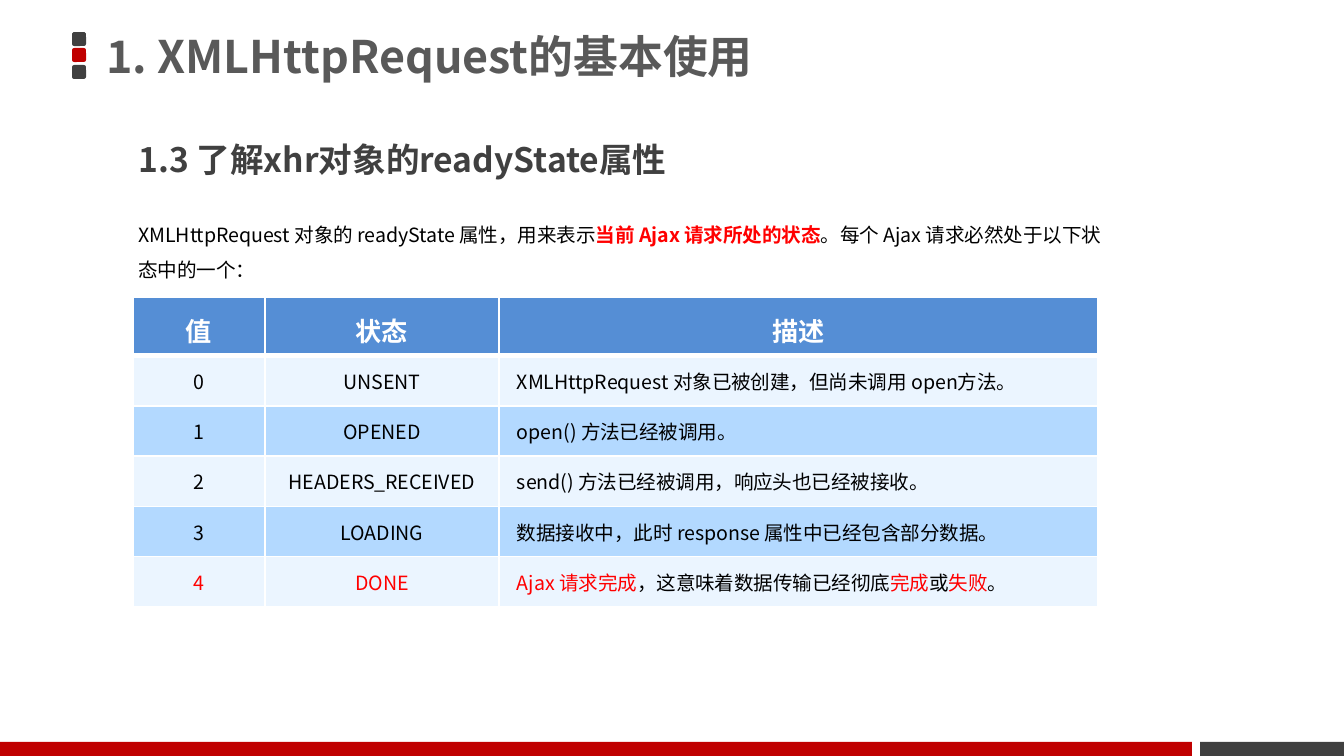
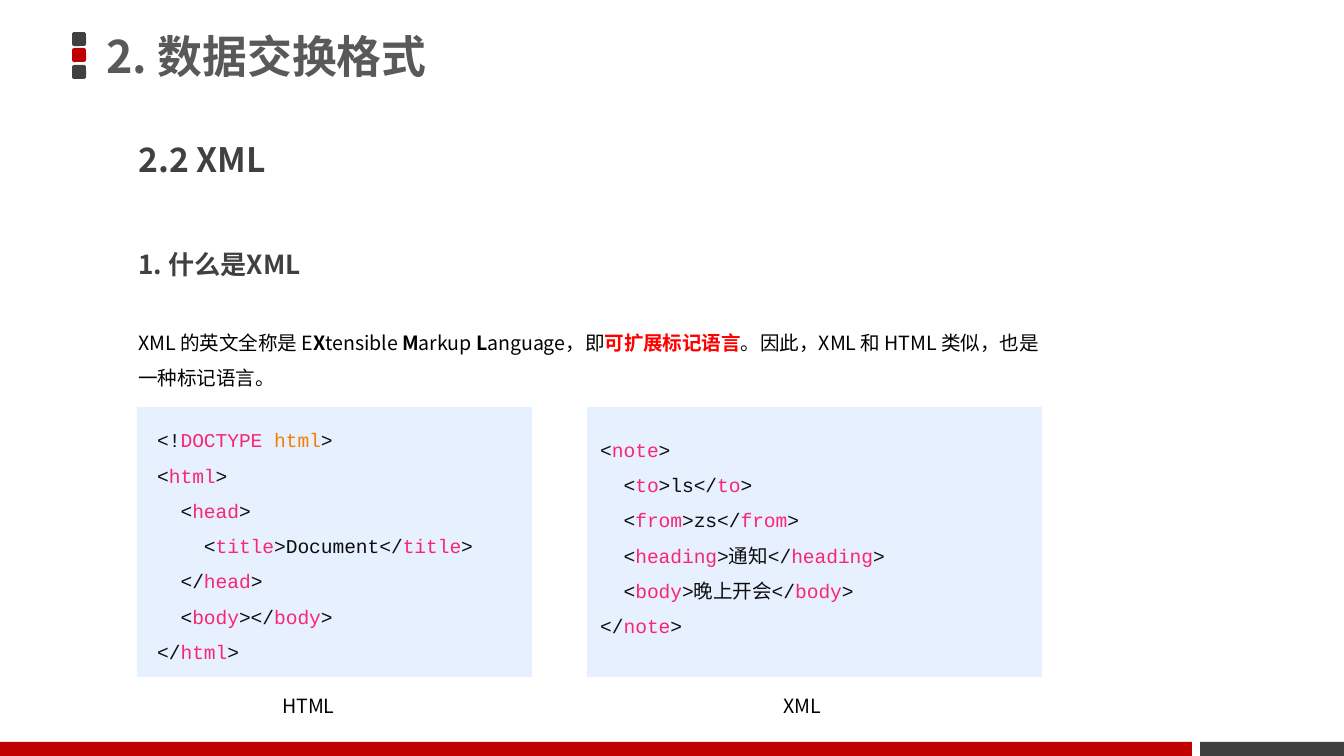
from dataclasses import dataclass, replace

from lxml import etree
from pptx import Presentation
from pptx.dml.color import RGBColor
from pptx.enum.shapes import MSO_SHAPE
from pptx.enum.text import MSO_ANCHOR, MSO_AUTO_SIZE, PP_ALIGN
from pptx.oxml.ns import qn
from pptx.util import Emu, Pt

RECT, ROUNDED = MSO_SHAPE.RECTANGLE, MSO_SHAPE.ROUNDED_RECTANGLE
TOP, MIDDLE = MSO_ANCHOR.TOP, MSO_ANCHOR.MIDDLE
LEFT, CENTER = PP_ALIGN.LEFT, PP_ALIGN.CENTER
FIXED, GROW = MSO_AUTO_SIZE.NONE, MSO_AUTO_SIZE.SHAPE_TO_FIT_TEXT
EMU_PER_PX = 914400 / 134.4
NBSP = "\u00a0"


@dataclass(frozen=True)
class Style:
    size: float
    color: str
    bold: bool = False
    font: str = "Noto Sans CJK SC"


class Theme:
    sans = "Noto Sans CJK SC"
    red, dark, panel, white = "C00000", "404040", "E6F0FF", "FFFFFF"
    header_fill, row_fills = "558ED5", ("EBF5FF", "B3D9FF")
    title = Style(24, "595959", True)
    section = Style(18, dark, True)
    topic = Style(14, dark, True)
    header = Style(14, white, True)
    body = Style(10.5, "000000")
    strong = replace(body, bold=True)
    alert = replace(body, color="FF0000")
    key = replace(alert, bold=True)
    code = Style(10.5, "0D0D0D", font="Courier New")
    tag = replace(code, color="F92672")
    attribute = replace(code, color="F77C00")


def px(n):
    return Emu(round(n * EMU_PER_PX))


def rgb(value):
    return RGBColor.from_string(value)


def place(s, box):
    s.left, s.top, s.width, s.height = map(px, box)


def add_runs(p, runs, line=None, before=0, align=LEFT):
    p.alignment = align
    p.line_spacing = line
    p.space_before = Pt(before)
    for text, style in runs:
        r = p.add_run()
        r.text = text
        r.font.size = Pt(style.size)
        r.font.bold = style.bold
        r.font.color.rgb = rgb(style.color)
        r.font.name = style.font
        ea = etree.SubElement(r.font._element, qn("a:ea"))
        ea.set("typeface", Theme.sans)


def fill_lines(tf, lines, **fmt):
    for i, runs in enumerate(lines):
        p = tf.add_paragraph() if i else tf.paragraphs[0]
        add_runs(p, runs, **fmt)


def fill_placeholder(s, box, runs, line=0.9, before=0, anchor=TOP):
    place(s, box)
    tf = s.text_frame
    tf.auto_size = FIXED
    tf.vertical_anchor = anchor
    p = tf.paragraphs[0]
    add_runs(p, runs, line, before)
    pPr = p._p.get_or_add_pPr()
    pPr.set("marL", "0")
    pPr.set("indent", "0")
    etree.SubElement(pPr, qn("a:buNone"))


def add_text(slide, box, lines, wrap=True, **fmt):
    s = slide.shapes.add_textbox(*map(px, box))
    tf = s.text_frame
    tf.word_wrap = wrap
    tf.auto_size = GROW
    fill_lines(tf, lines, **fmt)


def add_block(slide, box, color, kind=RECT):
    s = slide.shapes.add_shape(kind, *map(px, box))
    s.shadow.inherit = False
    s.fill.solid()
    s.fill.fore_color.rgb = rgb(color)
    s.line.fill.background()
    return s


def decorate(layout, slide):
    colors = (Theme.dark, Theme.red, Theme.dark)
    blocks = [add_block(slide, (72, 32 + 33 * i // 2, 14, 14), color, ROUNDED)
              for i, color in enumerate(colors)]
    blocks.append(add_block(slide, (1200, 742, 144, 14), Theme.dark))
    blocks.append(add_block(slide, (0, 742, 1192, 14), Theme.red))
    for i, s in enumerate(blocks):
        s.element.nvSpPr.cNvPr.set("id", str(20 + i))
        layout.shapes.element.append(s.element)


def add_slide(prs, layout, title, section, body, body_box):
    slide = prs.slides.add_slide(layout)
    heading, subheading, text = slide.placeholders
    fill_placeholder(heading, (93, 0, 990, 117), [(title, Theme.title)], anchor=MIDDLE)
    fill_placeholder(subheading, (125, 137, 958, 79), [(section, Theme.section)], before=7.5)
    fill_placeholder(text, body_box, body, line=1.5, before=7.5)
    return slide


def set_borders(cell, below_header, header):
    tcPr = cell._tc.get_or_add_tcPr()
    widths = {"L": 1, "R": 1, "T": 3 if below_header else 1, "B": 3 if header else 1}
    for side, width in widths.items():
        ln = etree.SubElement(tcPr, qn("a:ln" + side), w=str(Pt(width)))
        fill = etree.SubElement(ln, qn("a:solidFill"))
        etree.SubElement(fill, qn("a:srgbClr"), val=Theme.white)


def fill_cell(cell, row, col, runs):
    header = row == 0
    set_borders(cell, row == 1, header)
    cell.fill.solid()
    cell.fill.fore_color.rgb = rgb(Theme.header_fill if header else Theme.row_fills[(row - 1) % 2])
    cell.margin_left = cell.margin_right = px(13 if header else 18)
    cell.margin_top = cell.margin_bottom = px(7 if header else 11)
    cell.vertical_anchor = TOP if header else MIDDLE
    add_runs(cell.text_frame.paragraphs[0], runs,
             line=Pt(24) if header else None,
             align=CENTER if header or col < 2 else LEFT)


def add_table(slide, left, top, widths, heights, rows):
    frame = slide.shapes.add_table(len(rows), len(widths), px(left), px(top),
                                   px(sum(widths)), px(sum(heights)))
    table = frame.table
    for column, width in zip(table.columns, widths):
        column.width = px(width)
    for row, height in zip(table.rows, heights):
        row.height = px(height)
    for i, cells in enumerate(rows):
        for j, runs in enumerate(cells):
            fill_cell(table.cell(i, j), i, j, runs)


def styled_row(style, *texts):
    return [[(text, style)] for text in texts]


def code_line(text):
    parts = text.replace(" ", NBSP).split("|")
    return [(part, Theme.tag if i % 2 else Theme.code) for i, part in enumerate(parts)]


def ready_state_slide(prs, layout):
    body, alert = Theme.body, Theme.alert
    slide = add_slide(
        prs, layout, "1. XMLHttpRequest的基本使用", "1.3 了解xhr对象的readyState属性",
        [("XMLHttpRequest 对象的 readyState 属性，用来表示", body),
         ("当前 Ajax 请求所处的状态", Theme.key),
         ("。每个 Ajax 请求必然处于以下状态中的一个：", body)],
        (125, 204, 990, 87))
    rows = [
        styled_row(Theme.header, "值", "状态", "描述"),
        styled_row(body, "0", "UNSENT", "XMLHttpRequest 对象已被创建，但尚未调用 open方法。"),
        styled_row(body, "1", "OPENED", f"open(){NBSP}方法已经被调用。"),
        styled_row(body, "2", "HEADERS_RECEIVED", "send() 方法已经被调用，响应头也已经被接收。"),
        styled_row(body, "3", "LOADING", "数据接收中，此时 response 属性中已经包含部分数据。"),
        styled_row(alert, "4", "DONE") + [[
            ("Ajax 请求完成", alert), ("，这意味着数据传输已经彻底", body),
            ("完成", alert), ("或", body), ("失败", alert), ("。", body)]],
    ]
    add_table(slide, 133, 297, (132, 234, 599), [58] + [50] * 5, rows)
    return slide


def xml_slide(prs, layout):
    body, strong = Theme.body, Theme.strong
    slide = add_slide(
        prs, layout, "2. 数据交换格式", "2.2 XML",
        [("XML 的英文全称是 E", body), ("X", strong), ("tensible ", body),
         ("M", strong), ("arkup ", body), ("L", strong), ("anguage，即", body),
         ("可扩展标记语言", Theme.key),
         ("。因此，XML 和 HTML 类似，也是一种标记语言。", body)],
        (125, 312, 930, 91))
    add_text(slide, (125, 245, 954, 42), [[("1. 什么是XML", Theme.topic)]],
             line=0.9, before=7.5)
    html = ["<|html|>", "  <|head|>", "    <|title|>Document</|title|>",
            "  </|head|>", "  <|body|></|body|>", "</|html|>"]
    doctype = [("<!", Theme.code), ("DOCTYPE" + NBSP, Theme.tag),
               ("html", Theme.attribute), (">", Theme.code)]
    note = ["<|note|>", "  <|to|>ls</|to|>", "  <|from|>zs</|from|>",
            "  <|heading|>通知</|heading|>", "  <|body|>晚上开会</|body|>", "</|note|>"]
    add_block(slide, (137, 407, 395, 270), Theme.panel)
    add_text(slide, (144, 410, 388, 260), [doctype, *map(code_line, html)], line=1.5)
    tf = add_block(slide, (587, 407, 455, 270), Theme.panel).text_frame
    tf.vertical_anchor = TOP
    tf.margin_top = px(19)
    fill_lines(tf, map(code_line, note), line=1.5)
    for label, left, width in (("HTML", 269, 83), ("XML", 770, 70)):
        add_text(slide, (left, 687, width, 38), [[(label, body)]], wrap=False)
    return slide


def main():
    prs = Presentation()
    prs.slide_width, prs.slide_height = px(1344), px(756)
    layout = prs.slide_layouts.get_by_name("Two Content")
    slide = ready_state_slide(prs, layout)
    xml_slide(prs, layout)
    decorate(layout, slide)
    prs.save("out.pptx")


main()
